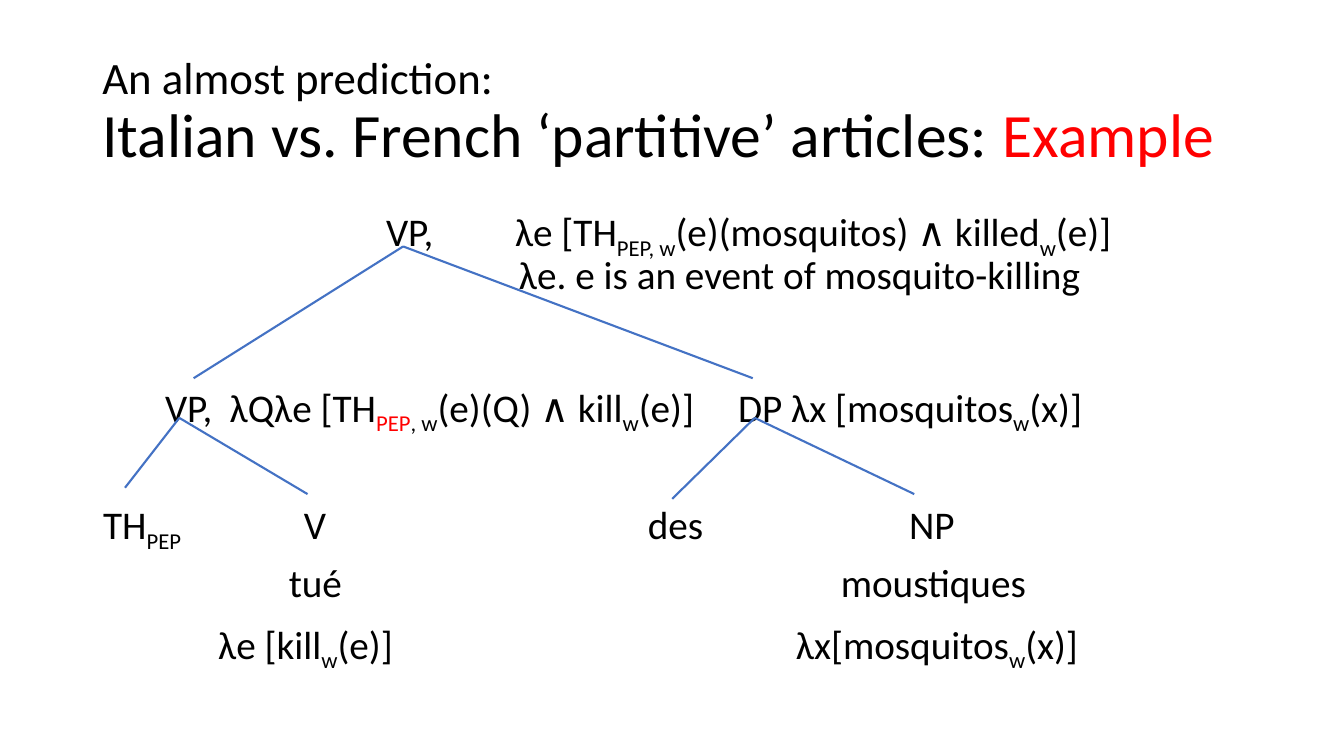
from pptx import Presentation
from pptx.dml.color import RGBColor
from pptx.enum.shapes import MSO_CONNECTOR
from pptx.enum.text import MSO_ANCHOR
from pptx.oxml.ns import qn
from pptx.util import Cm, Pt
from lxml import etree

LINE = MSO_CONNECTOR.STRAIGHT
MIDDLE = MSO_ANCHOR.MIDDLE
BLACK, RED, BLUE = "000000", "FF0000", "4472C4"
FONT = "Calibri"

# Title lines: size and coloured parts
TITLE = [
    (32, [("An almost prediction:", BLACK)]),
    (44, [("Italian vs. French ‘partitive’ articles: ", BLACK),
          ("Example", RED)]),
]

# Tree rows: top, then labels as left edge and text.
# Bars enclose a subscript; a subscript starting with ! is red.
ROWS = [
    (5.22, [(9.73, "VP,"),
            (12.98, "λe [TH|PEP, w|(e)(mosquitos) ∧ killed|w|(e)]")]),
    (6.32, [(13.08, "λe. e is an event of mosquito-killing")]),
    (9.65, [(4.16, "VP,"),
            (5.79, "λQλe [TH|!PEP||, w|(e)(Q) ∧ kill|w|(e)]"),
            (18.6, "DP λx [mosquitos|w|(x)]")]),
    (12.62, [(2.6, "TH|PEP|"), (7.66, "V"), (16.33, "des"), (22.91, "NP")]),
    (14.08, [(7.28, "tué"), (21.19, "moustiques")]),
    (15.62, [(5.5, "λe [kill|w|(e)]"), (20.06, "λx[mosquitos|w|(x)]")]),
]

# Branches: parent point, then the ends of its children
TREE = [
    ((10.16, 6.21), [(4.88, 9.53), (18.97, 9.53)]),
    ((4.52, 10.53), [(3.15, 12.29), (7.75, 12.45)]),
    ((19.02, 10.53), [(16.94, 12.57), (23.04, 12.45)]),
]


def color(code):
    return RGBColor.from_string(code)


def add_run(para, text, size, code):
    run = para.add_run()
    run.text = text
    run.font.name = FONT
    run.font.size = Pt(size)
    run.font.color.rgb = color(code)
    return run


def add_title(slide):
    box = slide.shapes.add_textbox(Cm(2.33), Cm(1.01), Cm(29.21), Cm(3.68))
    frame = box.text_frame
    frame.word_wrap = True
    frame.vertical_anchor = MIDDLE
    for i, (size, parts) in enumerate(TITLE):
        para = frame.add_paragraph() if i else frame.paragraphs[0]
        para.line_spacing = 0.9
        for text, code in parts:
            add_run(para, text, size, code)


def add_label(slide, left, top, text):
    box = slide.shapes.add_textbox(
        Cm(left), Cm(top), Cm(0.42 * len(text) + 0.5), Cm(1.2))
    frame = box.text_frame
    frame.word_wrap = False
    frame.margin_left = frame.margin_right = 0
    frame.margin_top = frame.margin_bottom = 0
    for i, part in enumerate(text.split("|")):
        if not part:
            continue
        code = RED if part.startswith("!") else BLACK
        run = add_run(frame.paragraphs[0], part.lstrip("!"), 28, code)
        if i % 2:
            run.font._element.set("baseline", "-25000")


def add_branch(slide, start, end):
    line = slide.shapes.add_connector(LINE, *map(Cm, start + end))
    line.line.color.rgb = color(BLUE)
    line.line.width = Pt(1.5)
    etree.SubElement(line._element.spPr, qn("a:effectLst"))


def main():
    prs = Presentation()
    prs.slide_width, prs.slide_height = Cm(33.87), Cm(19.05)
    slide = prs.slides.add_slide(prs.slide_layouts[6])
    add_title(slide)
    for top, labels in ROWS:
        for left, text in labels:
            add_label(slide, left, top, text)
    for start, ends in TREE:
        for end in ends:
            add_branch(slide, start, end)
    prs.save("out.pptx")


if __name__ == "__main__":
    main()
